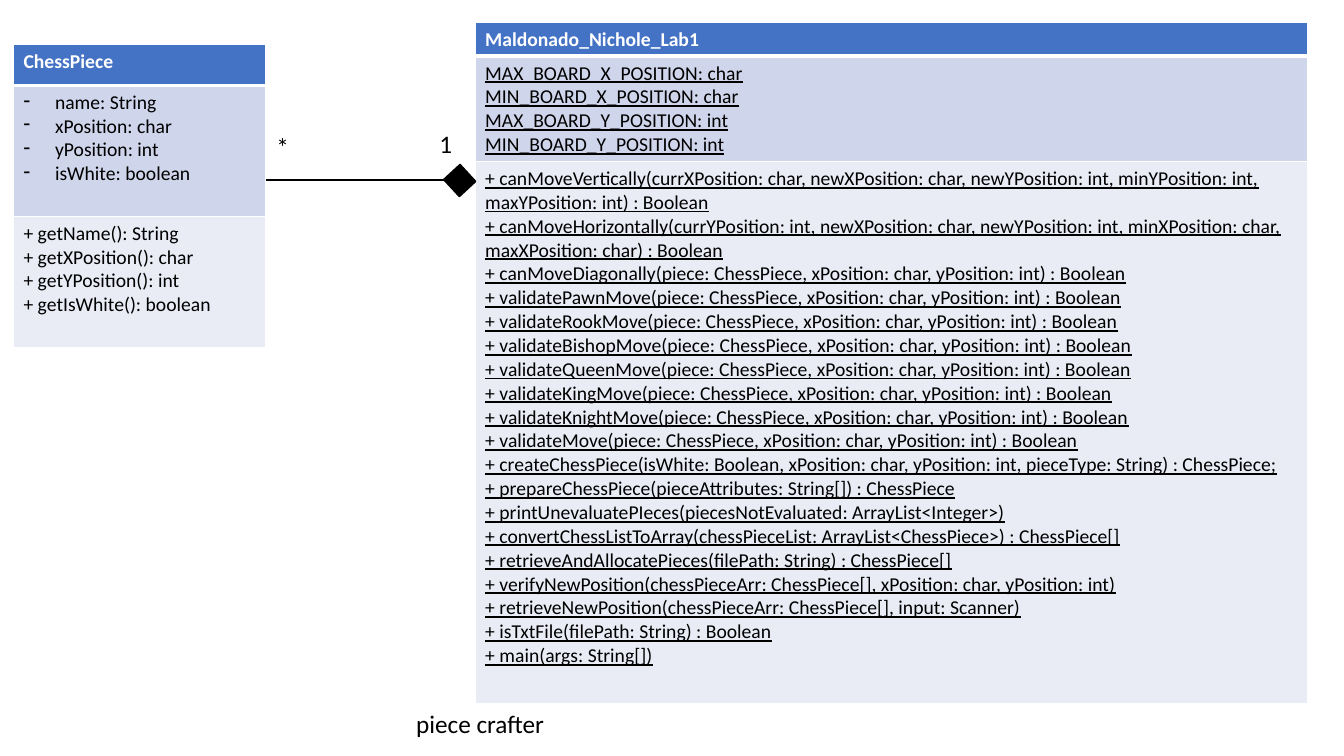
from pptx import Presentation
from pptx.dml.color import RGBColor
from pptx.enum import shapes, text
from pptx.oxml.ns import qn
from pptx.util import Pt
from lxml import etree

FONT = "Calibri"
BLACK, WHITE = "000000", "FFFFFF"
ROW_FILLS = ["4472C4", "CFD5EA", "E9EBF5"]

PIECE_FIELDS = ["name: String", "xPosition: char", "yPosition: int", "isWhite: boolean"]
PIECE_METHODS = ["+ getName(): String", "+ getXPosition(): char",
                 "+ getYPosition(): int", "+ getIsWhite(): boolean"]

LAB_FIELDS = ["MAX_BOARD_X_POSITION: char", "MIN_BOARD_X_POSITION: char",
              "MAX_BOARD_Y_POSITION: int", "MIN_BOARD_Y_POSITION: int"]
MOVE_CHECKS = ["canMoveDiagonally", "validatePawnMove", "validateRookMove",
               "validateBishopMove", "validateQueenMove", "validateKingMove",
               "validateKnightMove", "validateMove"]
LAB_METHODS = [
    "+ canMoveVertically(currXPosition: char, newXPosition: char, newYPosition: int, "
    "minYPosition: int, maxYPosition: int) : Boolean",
    "+ canMoveHorizontally(currYPosition: int, newXPosition: char, newYPosition: int, "
    "minXPosition: char, maxXPosition: char) : Boolean",
    *[f"+ {check}(piece: ChessPiece, xPosition: char, yPosition: int) : Boolean"
      for check in MOVE_CHECKS],
    "+ createChessPiece(isWhite: Boolean, xPosition: char, yPosition: int, "
    "pieceType: String) : ChessPiece;",
    "+ prepareChessPiece(pieceAttributes: String[]) : ChessPiece",
    "+ printUnevaluatePIeces(piecesNotEvaluated: ArrayList<Integer>)",
    "+ convertChessListToArray(chessPieceList: ArrayList<ChessPiece>) : ChessPiece[]",
    "+ retrieveAndAllocatePieces(filePath: String) : ChessPiece[]",
    "+ verifyNewPosition(chessPieceArr: ChessPiece[], xPosition: char, yPosition: int)",
    "+ retrieveNewPosition(chessPieceArr: ChessPiece[], input: Scanner)",
    "+ isTxtFile(filePath: String) : Boolean",
    "+ main(args: String[])",
]


def color(hex_value):
    return RGBColor.from_string(hex_value)


def style(font, size, hex_value, bold=False, underline=None):
    font.name, font.size, font.bold, font.underline = FONT, Pt(size), bold, underline
    font.color.rgb = color(hex_value)


def add_borders(cell, top, bottom):
    properties = cell._tc.get_or_add_tcPr()
    for side, width in (("L", 1), ("R", 1), ("T", top), ("B", bottom)):
        border = etree.SubElement(properties, qn(f"a:ln{side}"), w=str(Pt(width)))
        fill = etree.SubElement(border, qn("a:solidFill"))
        etree.SubElement(fill, qn("a:srgbClr"), val=WHITE)


def add_dash(paragraph):
    properties = paragraph._p.get_or_add_pPr()
    properties.set("marL", str(Pt(22.5)))
    properties.set("indent", str(-Pt(22.5)))
    etree.SubElement(properties, qn("a:buFontTx"))
    etree.SubElement(properties, qn("a:buChar"), char="-")


def add_class(slide, left, top, width, heights, sections, dashed=False, underline=None):
    table = slide.shapes.add_table(len(sections), 1, Pt(left), Pt(top),
                                   Pt(width), Pt(sum(heights))).table
    for index, (lines, height, fill) in enumerate(zip(sections, heights, ROW_FILLS)):
        table.rows[index].height = Pt(height)
        cell = table.cell(index, 0)
        header = index == 0
        add_borders(cell, 3 if index == 1 else 1, 3 if header else 1)
        cell.fill.solid()
        cell.fill.fore_color.rgb = color(fill)
        cell.text = "\n".join(lines)
        for paragraph in cell.text_frame.paragraphs:
            if dashed and index == 1:
                add_dash(paragraph)
            style(paragraph.font, 14, WHITE if header else BLACK, header,
                  None if header else underline)


def add_label(slide, left, top, width, wording):
    frame = slide.shapes.add_textbox(Pt(left), Pt(top), Pt(width), Pt(29)).text_frame
    frame.word_wrap = True
    frame.auto_size = text.MSO_AUTO_SIZE.SHAPE_TO_FIT_TEXT
    frame.text = wording
    style(frame.paragraphs[0].font, 18, BLACK)


def add_association(slide, left, middle, right):
    link = slide.shapes.add_connector(shapes.MSO_CONNECTOR.STRAIGHT, Pt(left),
                                      Pt(middle), Pt(right), Pt(middle))
    link.line.color.rgb = color(BLACK)
    link.line.width = Pt(1.5)
    etree.SubElement(link._element.spPr, qn("a:effectLst"))


def add_composition(slide, left, top, width, height):
    diamond = slide.shapes.add_shape(shapes.MSO_SHAPE.RECTANGLE, Pt(left), Pt(top),
                                     Pt(width), Pt(height))
    diamond.rotation = 317.3
    diamond.shadow.inherit = False
    diamond.fill.solid()
    diamond.fill.fore_color.rgb = color(BLACK)
    diamond.line.color.rgb = color(BLACK)
    diamond.line.width = Pt(1)


def main():
    deck = Presentation()
    deck.slide_width, deck.slide_height = Pt(960), Pt(540)
    slide = deck.slides.add_slide(deck.slide_layouts[6])

    add_association(slide, 189.4, 128.9, 347)
    add_class(slide, 9.6, 31.9, 179.8, [29.2, 93.6, 93.6],
              [["ChessPiece"], PIECE_FIELDS, PIECE_METHODS], dashed=True)
    add_class(slide, 339.4, 16, 594.5, [23.2, 73, 387],
              [["Maldonado_Nichole_Lab1"], LAB_FIELDS, LAB_METHODS], underline=True)
    add_label(slide, 190.4, 90, 21.6, "*")
    add_label(slide, 306.7, 88.2, 21.6, "1")
    add_label(slide, 290.2, 502.7, 124.6, "piece crafter")
    add_composition(slide, 320.4, 120.6, 16, 16.6)

    deck.save("out.pptx")


if __name__ == "__main__":
    main()
